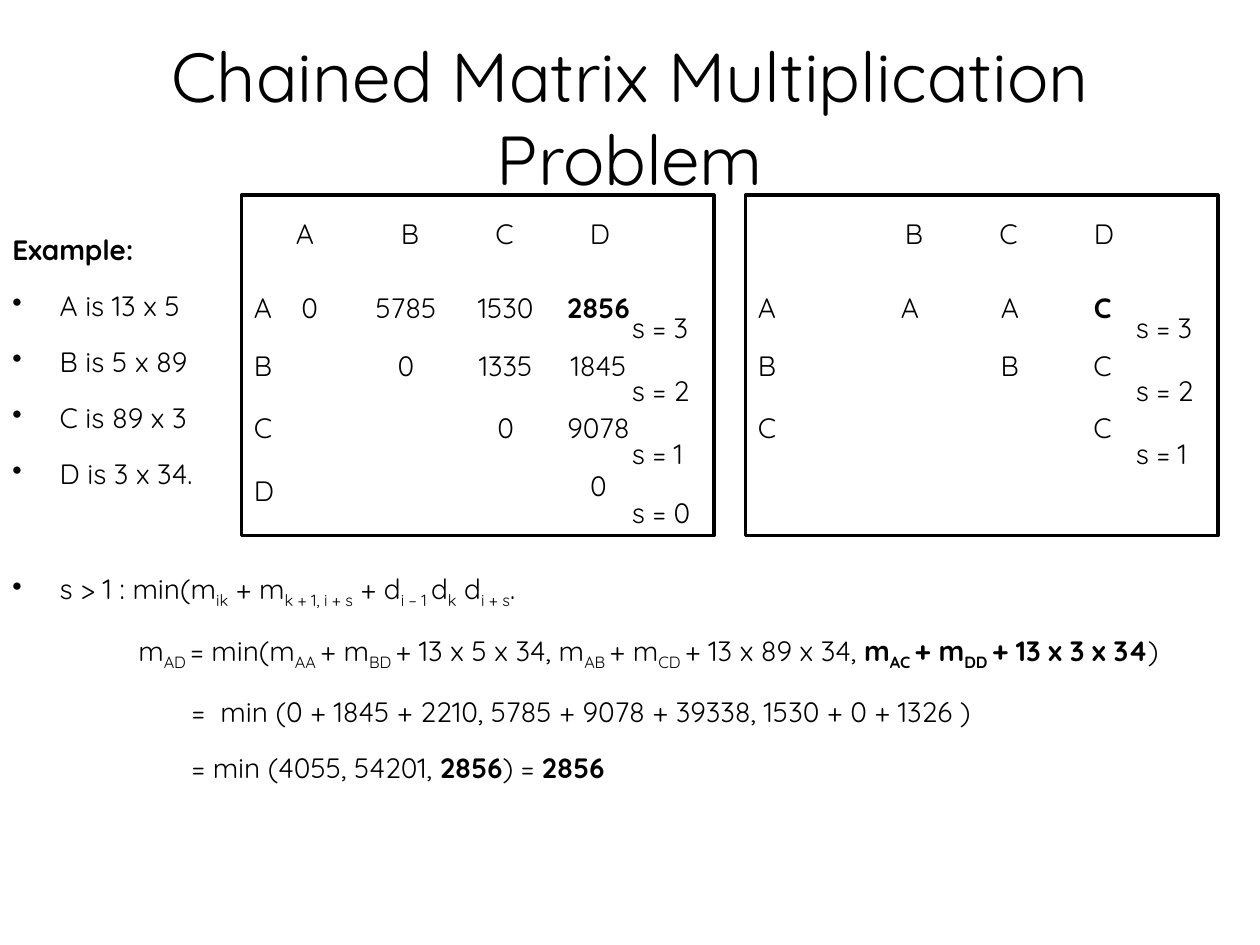
import pptx
import pptx.util
import pptx.dml.color
import pptx.enum.shapes
import pptx.enum.text
import lxml.etree

Pt = pptx.util.Pt
ALIGN = pptx.enum.text.PP_ALIGN
ANCHOR = pptx.enum.text.MSO_ANCHOR
BLACK = pptx.dml.color.RGBColor(0x00, 0x00, 0x00)

TITLE = "Chained Matrix Multiplication Problem"

BODY = [
    ("plain", 0, [("Example:", "b")]),
    ("bullet", 0, [("A is 13 x 5", "")]),
    ("bullet", 0, [("B is 5 x 89", "")]),
    ("bullet", 0, [("C is 89 x 3", "")]),
    ("bullet", 0, [("D is 3 x 34.", "")]),
    ("bullet", 32, [("s > 1 : min(m", ""), ("ik", "s"), (" + m", ""), ("k + 1, i + s", "s"),
                    (" + d", ""), ("i – 1 ", "s"), ("d", ""), ("k", "s"), (" d", ""),
                    ("i + s", "s"), (".", "")]),
    ("formula", 0, [("m", ""), ("AD ", "s"), ("= min(m", ""), ("AA ", "s"), ("+ m", ""),
                    ("BD ", "s"), ("+ 13 x 5 x 34, m", ""), ("AB ", "s"), ("+ m", ""),
                    ("CD ", "s"), ("+ 13 x 89 x 34, ", ""), ("m", "b"), ("AC ", "bs"),
                    ("+ m", "b"), ("DD ", "bs"), ("+ 13 x 3 x 34", "b"), (")", "")]),
    ("step", 0, [("=  min (0 + 1845 + 2210, 5785 + 9078 + 39338, 1530 + 0 + 1326 )", "")]),
    ("step", 0, [("= min (4055, 54201, ", ""), ("2856", "b"), (") = ", ""), ("2856", "b")]),
]
INDENTS = {"plain": (0, 0), "bullet": (27, -27), "formula": (72, 0), "step": (102.5, 0)}

BOARDS = [
    {"left": 138, "heads": "ABCD", "rows": "ABCD", "steps": [3, 2, 1, 0],
     "cells": [["0", "5785", "1530", "2856"], ["", "0", "1335", "1845"],
               ["", "", "0", "9078"], ["", "", "", "0"]]},
    {"left": 426, "heads": " BCD", "rows": "ABC", "steps": [3, 2, 1],
     "cells": [["", "A", "A", "C"], ["", "", "B", "C"], ["", "", "", "C"]]},
]
BOARD_TOP, BOARD_W, BOARD_H = 111.6, 270, 194.4
HEAD_Y = 120.2
HEAD_X = [24, 84, 138, 192]
CELL_X = [12, 67, 124, 177]
CELL_Y = [162.5, 195.6, 231.3, 264.2]
ROW_Y = [162.5, 195.4, 231.3, 267.2]
STEP_X = 216
STEP_Y = [174.2, 210.2, 246.2, 279.4]
CELL_W, CELL_H = 54, 26.6


def add_run(p, text, size=16, style=""):
    r = p.add_run()
    r.text = text
    fmt = {"name": "Quicksand", "size": Pt(size), "bold": "b" in style}
    for key, value in fmt.items():
        setattr(r.font, key, value)
    r.font.color.rgb = BLACK
    if "s" in style:
        r._r.get_or_add_rPr().set("baseline", "-25000")


def add_box(s, x, y, w, h, anchor=ANCHOR.TOP):
    tf = s.shapes.add_textbox(Pt(x), Pt(y), Pt(w), Pt(h)).text_frame
    for key, value in {"word_wrap": True, "vertical_anchor": anchor}.items():
        setattr(tf, key, value)
    return tf


def add_label(s, x, y, text, align=ALIGN.LEFT, style=""):
    p = add_box(s, x, y, CELL_W, CELL_H).paragraphs[0]
    p.alignment = align
    add_run(p, text, style=style)


def add_body(s):
    tf = add_box(s, 0, 120, 720, 420)
    for i, (kind, gap, runs) in enumerate(BODY):
        p = tf.add_paragraph() if i else tf.paragraphs[0]
        fmt = {"alignment": ALIGN.JUSTIFY, "line_spacing": 1.5, "space_before": Pt(3.2 + gap)}
        for key, value in fmt.items():
            setattr(p, key, value)
        pPr = p._p.get_or_add_pPr()
        for key, value in zip(("marL", "indent"), INDENTS[kind]):
            pPr.set(key, str(int(Pt(value))))
        if kind == "bullet":
            lxml.etree.SubElement(pPr, pptx.oxml.ns.qn("a:buChar")).set("char", "•")
        for text, style in runs:
            add_run(p, text, style=style)


def add_board(s, board):
    left = board["left"]
    for x, head in zip(HEAD_X, board["heads"]):
        if head.strip():
            add_label(s, left + x, HEAD_Y, head)
    for y, name in zip(ROW_Y, board["rows"]):
        add_label(s, left, y, name)
    for y, step in zip(STEP_Y, board["steps"]):
        add_label(s, left + STEP_X, y, f"s = {step}")
    for row, (y, values) in enumerate(zip(CELL_Y, board["cells"])):
        for col, (x, value) in enumerate(zip(CELL_X, values)):
            if value:
                style = "b" if (row, col) == (0, 3) else ""
                add_label(s, left + x, y, value, ALIGN.CENTER, style)
    sp = s.shapes.add_shape(pptx.enum.shapes.MSO_SHAPE.RECTANGLE,
                            Pt(left), Pt(BOARD_TOP), Pt(BOARD_W), Pt(BOARD_H))
    sp.shadow.inherit = False
    sp.fill.background()
    sp.line.color.rgb = BLACK
    sp.line.width = Pt(2)


def main():
    prs = pptx.Presentation()
    prs.slide_width, prs.slide_height = Pt(720), Pt(540)
    s = prs.slides.add_slide(prs.slide_layouts[6])
    add_body(s)
    p = add_box(s, 36, 21.6, 648, 90, ANCHOR.MIDDLE).paragraphs[0]
    p.alignment = ALIGN.CENTER
    add_run(p, TITLE, 39.6)
    for board in BOARDS:
        add_board(s, board)
    prs.save("out.pptx")


if __name__ == "__main__":
    main()
